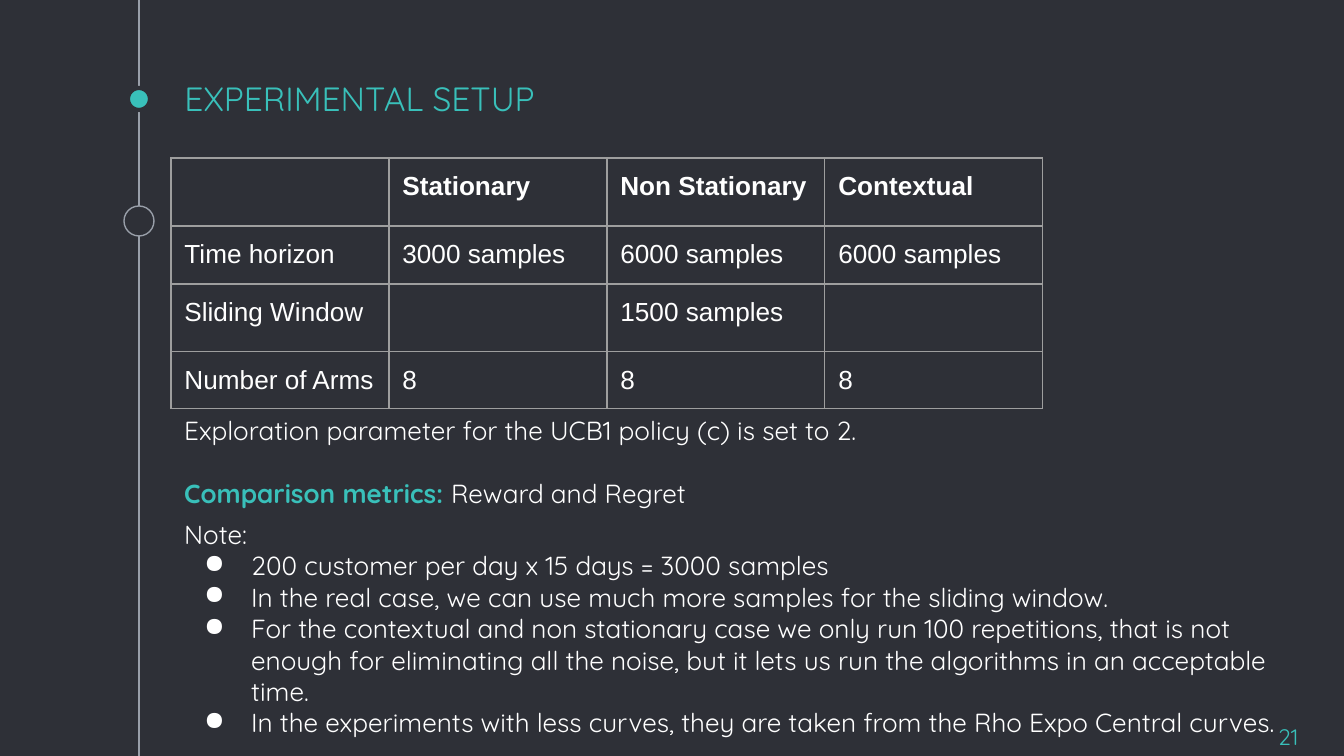
import pptx
import pptx.util
import pptx.dml.color
import pptx.enum.shapes
import pptx.enum.text
import pptx.oxml
import pptx.oxml.ns
from lxml import etree

EMU_PER_PX = 914400 / 134.4
TEAL, WHITE, DARK, GREY, BORDER = "39C0BA", "FFFFFF", "2E3037", "999FA9", "9E9E9E"


def px(length):
    return pptx.util.Emu(round(length * EMU_PER_PX))


def rgb(colour):
    return pptx.dml.color.RGBColor.from_string(colour)


def sub(parent, tag, **attributes):
    return etree.SubElement(parent, pptx.oxml.ns.qn(tag), **attributes)


class TimelineDeck:
    """Dark timeline style together with the slide being built."""

    def __init__(self, width, height):
        self.deck = pptx.Presentation()
        self.deck.slide_width, self.deck.slide_height = px(width), px(height)
        self.slide = self.deck.slides.add_slide(self.deck.slide_layouts[5])
        self.shapes = self.slide.shapes
        self.slide.background.fill.solid()
        self.slide.background.fill.fore_color.rgb = rgb(DARK)

    def font(self, run, colour=WHITE, size=14, bold=False, name="Quicksand"):
        run.font.name, run.font.size, run.font.bold = name, pptx.util.Pt(size), bold
        run.font.color.rgb = rgb(colour)

    def frame(self, shape):
        frame = shape.text_frame
        frame.word_wrap = True
        frame.auto_size = pptx.enum.text.MSO_AUTO_SIZE.NONE
        frame.margin_left = frame.margin_right = pptx.util.Inches(0.1)
        frame.margin_top = frame.margin_bottom = pptx.util.Inches(0.1)
        return frame

    def title(self, text, left, top, width, height):
        title = self.shapes.title
        title.left, title.top, title.width, title.height = map(px, (left, top, width, height))
        frame = self.frame(title)
        frame.vertical_anchor = pptx.enum.text.MSO_ANCHOR.BOTTOM
        frame.text = text
        frame.paragraphs[0].alignment = pptx.enum.text.PP_ALIGN.LEFT
        self.font(frame.paragraphs[0].runs[0], TEAL, 18)

    def line(self, x1, y1, x2, y2, colour):
        straight = pptx.enum.shapes.MSO_CONNECTOR.STRAIGHT
        line = self.shapes.add_connector(straight, *map(px, (x1, y1, x2, y2)))
        line.line.color.rgb = rgb(colour)
        line.line.width = pptx.util.Pt(0.75)
        sub(line._element.spPr, "a:effectLst")

    def dot(self, centre_x, centre_y, size, fill, outline, weight):
        oval = pptx.enum.shapes.MSO_SHAPE.OVAL
        corner = centre_x - size / 2, centre_y - size / 2
        dot = self.shapes.add_shape(oval, *map(px, (*corner, size, size)))
        dot.shadow.inherit = False
        dot.fill.solid()
        dot.fill.fore_color.rgb = rgb(fill)
        dot.line.color.rgb = rgb(outline)
        dot.line.width = pptx.util.Pt(weight)

    def text(self, lines, left, top, width, height, colour=WHITE, size=14):
        frame = self.frame(self.shapes.add_textbox(*map(px, (left, top, width, height))))
        frame.text = "\n".join(lines)
        for paragraph in frame.paragraphs:
            for run in paragraph.runs:
                self.font(run, colour, size)
        return frame.paragraphs

    def bullet(self, paragraph):
        properties = paragraph._p.get_or_add_pPr()
        properties.set("marL", str(px(67)))
        properties.set("indent", str(-px(47)))
        sub(sub(properties, "a:buClr"), "a:srgbClr", val=WHITE)
        sub(properties, "a:buChar", char="●")

    def border(self, cell):
        properties = cell._tc.get_or_add_tcPr()
        for side in "LRTB":
            edge = sub(properties, f"a:ln{side}", w=str(pptx.util.Pt(0.75)))
            sub(sub(edge, "a:solidFill"), "a:srgbClr", val=BORDER)

    def table(self, rows, left, top, column_width, row_heights):
        columns = len(rows[0])
        size = columns * column_width, sum(row_heights)
        table = self.shapes.add_table(len(rows), columns, *map(px, (left, top, *size))).table
        table.first_row = table.horz_banding = False
        for column in table.columns:
            column.width = px(column_width)
        for row_index, (values, height) in enumerate(zip(rows, row_heights)):
            table.rows[row_index].height = px(height)
            for column_index, value in enumerate(values):
                cell = table.cell(row_index, column_index)
                cell.margin_left = cell.margin_right = pptx.util.Inches(0.1)
                cell.margin_top = cell.margin_bottom = pptx.util.Inches(0.1)
                self.border(cell)
                cell.fill.background()
                if value:
                    cell.text = value
                    run = cell.text_frame.paragraphs[0].runs[0]
                    self.font(run, bold=row_index == 0, name="Arial")


def main():
    setup = TimelineDeck(1344, 756)
    setup.line(139, 0, 139, 756, GREY)
    setup.dot(139, 99, 22, TEAL, DARK, 2.25)
    setup.dot(139, 221, 30, DARK, GREY, 0.75)
    setup.title("EXPERIMENTAL SETUP", 171, 81, 1008, 51)
    setup.text(["21"], 1265, 710, 60, 46, TEAL, 12)
    setup.table([
        ["", "Stationary", "Non Stationary", "Contextual"],
        ["Time horizon", "3000 samples", "6000 samples", "6000 samples"],
        ["Sliding Window", "", "1500 samples", ""],
        ["Number of Arms", "8", "8", "8"],
    ], 171, 158, 218, [58, 58, 58, 56])
    notes = setup.text([
        "Note:",
        "200 customer per day x 15 days = 3000 samples",
        "In the real case, we can use much more samples for the sliding window.",
        "For the contextual and non stationary case we only run 100 repetitions, that is not "
        "enough for eliminating all the noise, but it lets us run the algorithms in an "
        "acceptable time.",
        "In the experiments with less curves, they are taken from the Rho Expo Central curves.",
    ], 171, 505, 1153, 125)
    for note in notes[1:]:
        setup.bullet(note)
    policy, metrics = setup.text([
        "Exploration parameter for the UCB1 policy (c) is set to 2.",
        "Comparison metrics: ",
    ], 171, 401, 843, 153)
    metrics.space_before = pptx.util.Pt(17)
    setup.font(metrics.runs[0], TEAL, bold=True)
    measures = metrics.add_run()
    measures.text = "Reward and Regret"
    setup.font(measures)
    setup.deck.save("out.pptx")


if __name__ == "__main__":
    main()
